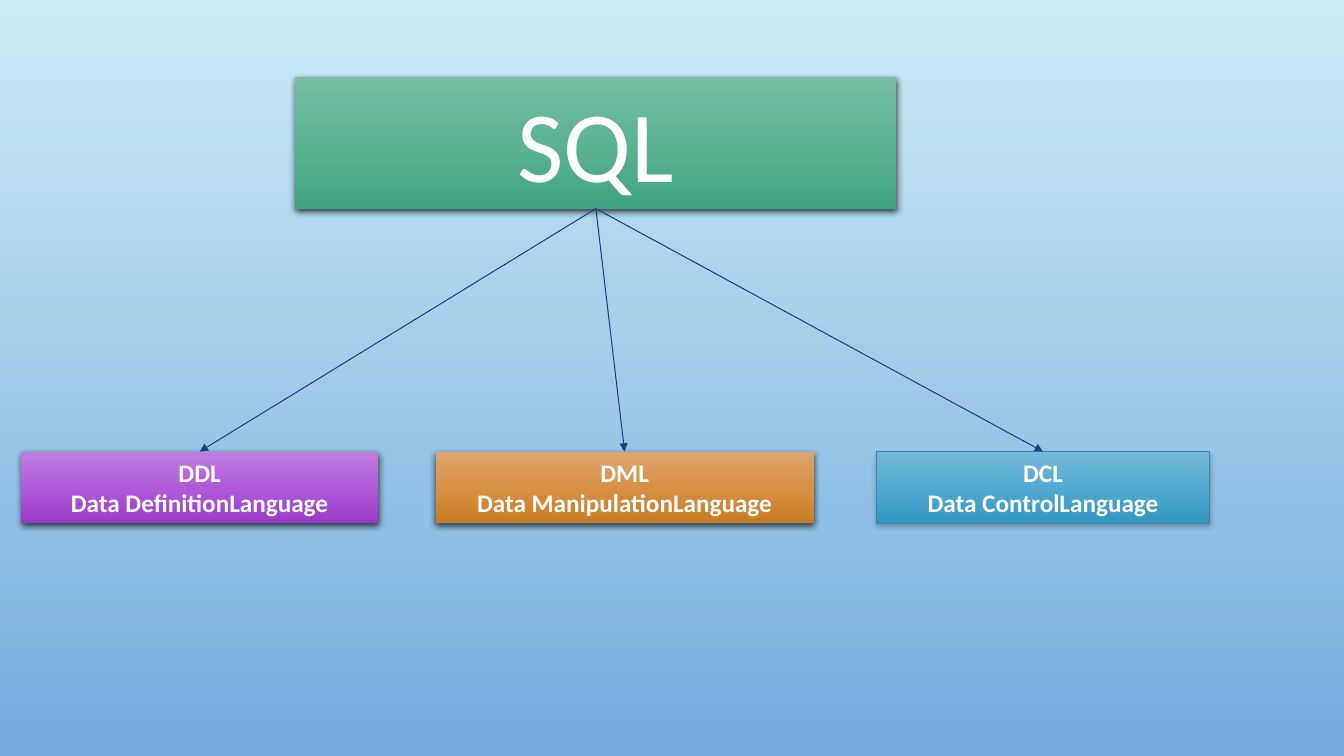
from copy import deepcopy

from lxml import etree
from pptx import Presentation
from pptx.dml.color import RGBColor
from pptx.enum.shapes import MSO_CONNECTOR, MSO_SHAPE
from pptx.enum.text import MSO_ANCHOR, MSO_AUTO_SIZE, PP_ALIGN
from pptx.oxml.ns import qn
from pptx.util import Inches, Pt

RECT = MSO_SHAPE.RECTANGLE
STRAIGHT = MSO_CONNECTOR.STRAIGHT
CENTER = PP_ALIGN.CENTER
MIDDLE = MSO_ANCHOR.MIDDLE
GROW = MSO_AUTO_SIZE.SHAPE_TO_FIT_TEXT
BOTTOM_SITE, TOP_SITE = 2, 0

WHITE = RGBColor(0xFF, 0xFF, 0xFF)
NAVY = RGBColor(0x1F, 0x3F, 0x83)
TEAL_EDGE = RGBColor(0x3A, 0x87, 0xA7)
SKY = [RGBColor(0xCB, 0xEC, 0xF5), RGBColor(0x73, 0xAB, 0xDD)]
GREEN = [RGBColor(0x79, 0xBE, 0xA4), RGBColor(0x5B, 0xB3, 0x92), RGBColor(0x40, 0xA2, 0x7E)]
PURPLE = [RGBColor(0xBF, 0x7E, 0xE0), RGBColor(0xB0, 0x5A, 0xDA), RGBColor(0x9B, 0x3B, 0xC8)]
ORANGE = [RGBColor(0xDE, 0xA4, 0x6D), RGBColor(0xD8, 0x91, 0x45), RGBColor(0xC8, 0x7B, 0x23)]
BLUE = [RGBColor(0x76, 0xB9, 0xD9), RGBColor(0x52, 0xAA, 0xD1), RGBColor(0x33, 0x96, 0xC0)]


def set_gradient(fill, element, colors):
    """Fill from top to bottom with evenly spaced colours."""
    fill.gradient()
    fill.gradient_angle = 270
    stops = next(element.iter(qn("a:gsLst")))
    while len(stops) < len(colors):
        stops.append(deepcopy(stops[0]))
    for i, (stop, color) in enumerate(zip(fill.gradient_stops, colors)):
        stop.position = i / (len(colors) - 1)
        stop.color.rgb = color


def add_box(left, top, width, height, lines, size, bold, colors, edge=None):
    sp = s.shapes.add_shape(RECT, Inches(left), Inches(top), Inches(width), Inches(height))
    set_gradient(sp.fill, sp._element, colors)
    if edge is None:
        sp.line.fill.background()
    else:
        sp.line.color.rgb = edge
        sp.line.width = Pt(0.75)

    # Soft shadow below, lighter on an outlined box
    sp.shadow.inherit = False
    blur, alpha = (5, 69) if edge is None else (4, 28)
    effects = sp._element.spPr.find(qn("a:effectLst"))
    shadow = etree.SubElement(effects, qn("a:outerShdw"), blurRad=str(Pt(blur)),
                              dist=str(Pt(2)), dir="5400000", rotWithShape="0")
    black = etree.SubElement(shadow, qn("a:srgbClr"), val="000000")
    etree.SubElement(black, qn("a:alpha"), val=str(alpha * 1000))

    tf = sp.text_frame
    tf.word_wrap = True
    tf.auto_size = GROW
    tf.vertical_anchor = MIDDLE
    tf.text = "\n".join(lines)
    for p in tf.paragraphs:
        p.alignment = CENTER
        p.font.name = "Calibri"
        p.font.size = Pt(size)
        p.font.bold = bold
        p.font.color.rgb = WHITE
    return sp


prs = Presentation()
prs.slide_width = Inches(13.33)
prs.slide_height = Inches(7.5)
s = prs.slides.add_slide(prs.slide_layouts[6])

# Background
set_gradient(s.background.fill, s._element, SKY)

# Root box
sql = add_box(2.93, 0.76, 5.96, 1.31, ["SQL"], 72, False, GREEN)

# Sublanguage boxes
sublanguages = [
    (0.21, 3.54, ["DDL", "Data DefinitionLanguage"], PURPLE, None),
    (4.32, 3.75, ["DML", "Data ManipulationLanguage"], ORANGE, None),
    (8.69, 3.31, ["DCL", "Data ControlLanguage"], BLUE, TEAL_EDGE),
]
branches = [add_box(left, 4.48, width, 0.71, lines, 18, True, colors, edge)
            for left, width, lines, colors, edge in sublanguages]

# Arrows from the root to each sublanguage
for branch in branches:
    arrow = s.shapes.add_connector(STRAIGHT, 0, 0, 0, 0)
    arrow.begin_connect(sql, BOTTOM_SITE)
    arrow.end_connect(branch, TOP_SITE)
    arrow.line.color.rgb = NAVY
    arrow.line.width = Pt(0.75)
    etree.SubElement(arrow.line._get_or_add_ln(), qn("a:tailEnd"), type="triangle")
    etree.SubElement(arrow._element.spPr, qn("a:effectLst"))

prs.save("out.pptx")
